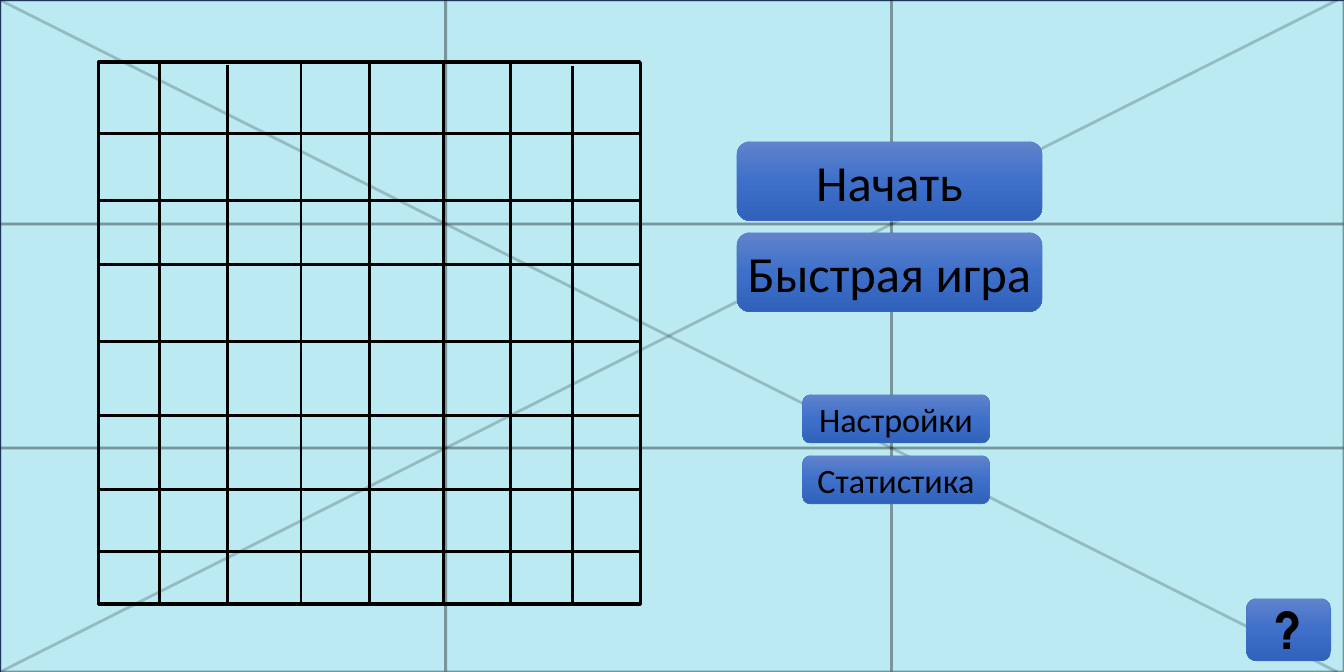
from copy import deepcopy

from lxml.etree import SubElement
from pptx import Presentation
from pptx.dml.color import RGBColor
from pptx.enum.shapes import MSO_CONNECTOR, MSO_SHAPE
from pptx.enum.text import MSO_ANCHOR, PP_ALIGN
from pptx.oxml.ns import qn
from pptx.util import Cm, Pt

BLACK = RGBColor(0x00, 0x00, 0x00)
SKY = RGBColor(0xBB, 0xEA, 0xF3)
NAVY = RGBColor(0x32, 0x54, 0x91)
BLUE = RGBColor(0x44, 0x72, 0xC4)
BUTTON_STOPS = [
    (0, RGBColor(0x61, 0x83, 0xCB)),
    (0.5, RGBColor(0x3E, 0x70, 0xCA)),
    (1, RGBColor(0x30, 0x62, 0xBB)),
]
WIDTH, HEIGHT = 75, 37.5


class Screen:
    """Holds the style and the slide; all lengths are in centimetres."""

    font = "Calibri"
    line_width = 4.5
    guide_opacity = 20

    def __init__(self, slide):
        self.slide = slide
        self.shapes = slide.shapes

    def stroke(self, sp, color=BLACK, width=line_width, opacity=100):
        sp.line.color.rgb = color
        sp.line.width = Pt(width)
        if opacity < 100:
            clr = sp._element.spPr.find(".//" + qn("a:ln")).find(".//" + qn("a:srgbClr"))
            SubElement(clr, qn("a:alpha")).set("val", str(opacity * 1000))

    def shape(self, kind, x, y, w, h, shapes=None):
        sp = (shapes or self.shapes).add_shape(kind, Cm(x), Cm(y), Cm(w), Cm(h))
        sp.shadow.inherit = False
        return sp

    def frame(self, x, y, w, h, shapes=None, opacity=100):
        sp = self.shape(MSO_SHAPE.RECTANGLE, x, y, w, h, shapes)
        sp.fill.background()
        self.stroke(sp, opacity=opacity)

    def line(self, x1, y1, x2, y2, shapes=None, opacity=100):
        cx = (shapes or self.shapes).add_connector(
            MSO_CONNECTOR.STRAIGHT, Cm(x1), Cm(y1), Cm(x2), Cm(y2))
        self.stroke(cx, opacity=opacity)
        SubElement(cx._element.spPr, qn("a:effectLst"))

    def background(self):
        sp = self.shape(MSO_SHAPE.RECTANGLE, 0, 0, WIDTH, HEIGHT)
        sp.fill.solid()
        sp.fill.fore_color.rgb = SKY
        self.stroke(sp, NAVY, 1)

    def guides(self, columns, rows, diagonal_right):
        shapes = self.shapes.add_group_shape().shapes
        style = dict(shapes=shapes, opacity=self.guide_opacity)
        for left, right in zip(columns, columns[1:]):
            self.frame(left, 0, right - left, HEIGHT, **style)
        for i in range(rows):
            self.frame(0, i * HEIGHT / rows, WIDTH, HEIGHT / rows, **style)
        self.line(diagonal_right, 0, 0, HEIGHT, **style)
        self.line(diagonal_right, HEIGHT, 0, 0, **style)

    def button(self, text, x, y, w, h, size, font=font, bold=False):
        sp = self.shape(MSO_SHAPE.ROUNDED_RECTANGLE, x, y, w, h)
        sp.fill.gradient()
        sp.fill.gradient_angle = 270
        stop_list = sp._element.spPr.find(".//" + qn("a:gsLst"))
        stop_list.append(deepcopy(stop_list[-1]))
        for stop, (position, color) in zip(sp.fill.gradient_stops, BUTTON_STOPS):
            stop.position = position
            stop.color.rgb = color
        self.stroke(sp, BLUE, 0.5)
        tf = sp.text_frame
        tf.word_wrap = True
        tf.vertical_anchor = MSO_ANCHOR.MIDDLE
        p = tf.paragraphs[0]
        p.text = text
        p.alignment = PP_ALIGN.CENTER
        p.font.name = font
        p.font.size = Pt(size)
        p.font.bold = bold
        p.font.color.rgb = BLACK


prs = Presentation()
prs.slide_width, prs.slide_height = Cm(WIDTH), Cm(HEIGHT)
s = Screen(prs.slides.add_slide(prs.slide_layouts[6]))

# Background with layout guides
s.background()
s.guides(columns=[0, 24.87, 49.75, WIDTH], rows=3, diagonal_right=74.63)

# Game board: doubled frame, then inner lines at hand-set places
BOARD = 30.23
s.frame(5.49, 3.43, BOARD, BOARD)
s.frame(5.51, 3.51, BOARD, BOARD)
for x, top in [(8.92, 3.53), (12.7, 3.61), (16.8, 3.53), (20.62, 3.51),
               (24.74, 3.48), (28.5, 3.51), (31.97, 3.68)]:
    s.line(x, top, x, top + 30.15)
for y in [7.44, 11.18, 14.78, 19.08, 23.19, 27.3, 30.76]:
    s.line(5.44, y, 35.75, y)

# Menu buttons
for i, text in enumerate(["Начать", "Быстрая игра"]):
    s.button(text, 41.12, 7.9 + i * 5.08, 17.04, 4.42, 80)
for i, text in enumerate(["Настройки", "Статистика"]):
    s.button(text, 44.78, 22.02 + i * 3.4, 10.45, 2.7, 54)

# Help button
s.button("?", 69.55, 33.4, 4.72, 3.48, 80, font="TeX Gyre Adventor", bold=True)

prs.save("out.pptx")
